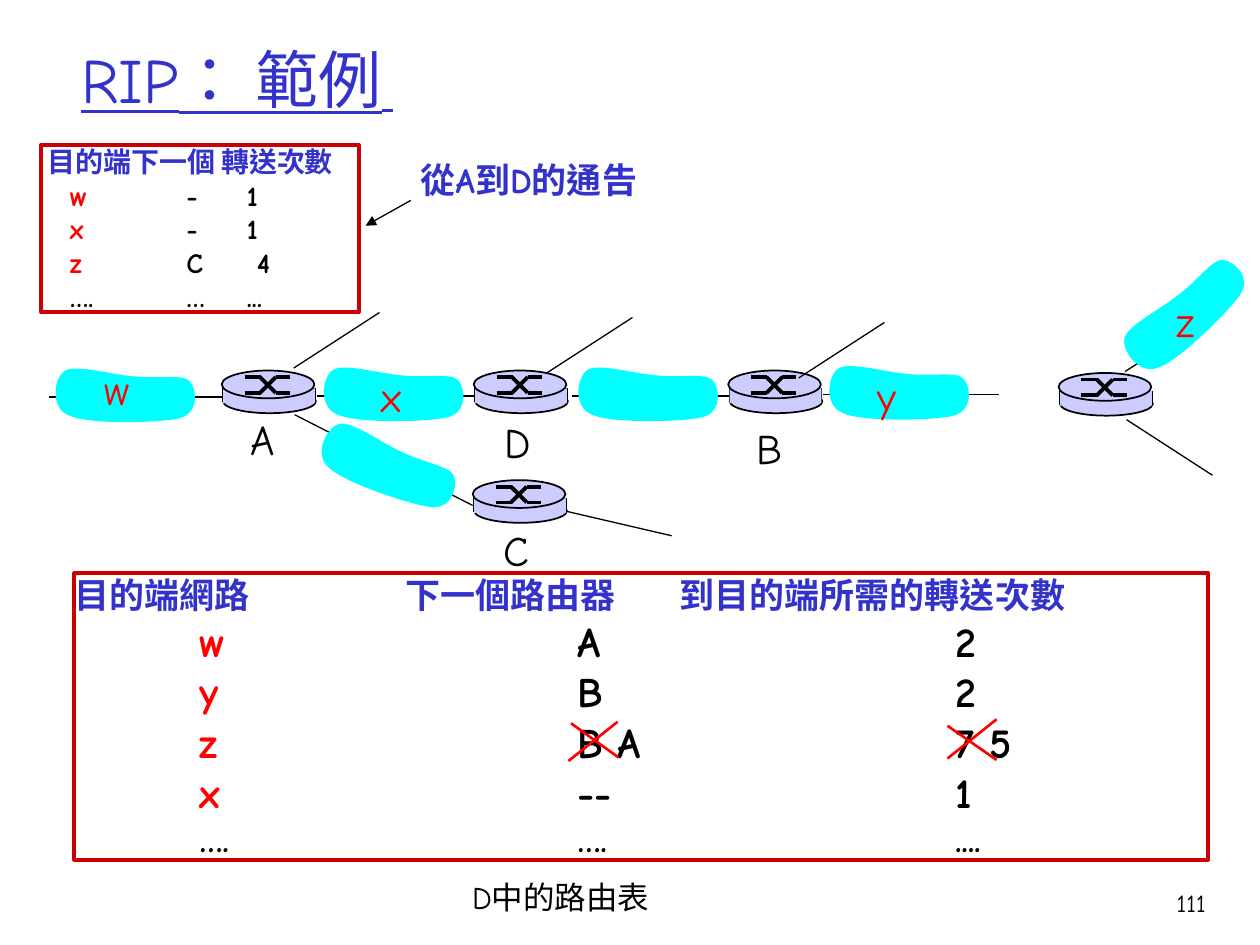
from lxml.etree import SubElement
from pptx import Presentation
from pptx.dml.color import RGBColor
from pptx.enum.shapes import MSO_CONNECTOR, MSO_SHAPE
from pptx.enum.text import MSO_ANCHOR, PP_ALIGN
from pptx.oxml.ns import qn
from pptx.util import Cm, Pt

FONT = "Comic Neue"
COLORS = {"blue": "3333CC", "red": "FF0000", "frame": "CC0000",
          "black": "000000", "router": "CCCCFF", "network": "00FFFF"}

# Network outline: size, start point, then Bezier segments, in cm
CLOUD_WIDTH, CLOUD_HEIGHT = 3.05, 1.22
CLOUD_START = (1.73, 0.25)
CLOUD_CURVES = [
    ((1.32, 0.23), (0.56, 0), (0.33, 0.13)),
    ((0.1, 0.25), (0, 0.89), (0.41, 1.04)),
    ((0.79, 1.22), (2.24, 1.19), (2.64, 1.09)),
    ((3.05, 0.97), (2.97, 0.46), (2.82, 0.33)),
    ((2.67, 0.2), (2.13, 0.3), CLOUD_START),
]
CLOUDS = [(6.4, 7.32, 0), (6.3, 8.79, 19.7), (0.99, 7.34, 0),
          (11.53, 7.32, 0), (16.59, 7.29, 0), (22.35, 5.72, 316.8)]
ROUTERS = [(9.55, 7.47), (4.47, 7.47), (9.53, 9.68), (14.68, 7.47), (21.34, 7.52)]
LINKS = [(6.4, 7.98), (11.53, 7.98), (0.99, 8), (16.59, 7.95)]
SPOKES = [
    (5.92, 7.42, 7.65, 6.3), (11.02, 7.52, 12.75, 6.4), (16.1, 7.62, 17.83, 6.5),
    (22.68, 7.49, 24.41, 6.37), (22.71, 8.46, 24.44, 9.58),
    (5.94, 8.36, 9.53, 10.19), (11.43, 10.31, 13.54, 10.8),
]
LABELS = [
    ("w", 1.85, 7.21, "red"), ("x", 7.44, 7.34, "red"),
    ("y", 17.45, 7.34, "red"), ("z", 23.47, 5.84, "red"),
    ("A", 4.8, 8.22, "black"), ("C", 9.91, 10.44, "black"),
    ("D", 9.93, 8.28, "black"), ("B", 15.01, 8.4, "black"),
]
STRIKES = [(11.51, 14.58, 12.47, 15.27), (11.46, 15.34, 12.45, 14.55),
           (19.1, 14.63, 20.09, 15.32), (19.1, 15.29, 20.09, 14.5)]


def rgb(name):
    return RGBColor.from_string(COLORS[name])


def add_span(para, text, size, color="black", bold=False, underline=None):
    span = para.add_run()
    span.text = text
    span.font.name = FONT
    span.font.size = Pt(size)
    span.font.bold = bold
    span.font.underline = underline
    span.font.color.rgb = rgb(color)
    span._r.get_or_add_rPr().set("lang", "zh-TW")


def set_tabs(para, stops):
    tabs = SubElement(para._p.get_or_add_pPr(), qn("a:tabLst"))
    for stop in stops:
        SubElement(tabs, qn("a:tab"), pos=str(Cm(stop)), algn="l")


def add_label(page, text, left, top, width=1, height=1.27, size=24,
              color="black", bold=False, align=PP_ALIGN.LEFT):
    box = page.shapes.add_textbox(Cm(left), Cm(top), Cm(width), Cm(height))
    box.text_frame.word_wrap = False
    para = box.text_frame.paragraphs[0]
    para.alignment = align
    add_span(para, text, size, color, bold)


def add_line(page, start_x, start_y, end_x, end_y, width, color="black", arrow=False):
    line = page.shapes.add_connector(MSO_CONNECTOR.STRAIGHT, Cm(start_x), Cm(start_y),
                                     Cm(end_x), Cm(end_y))
    line.line.width = Pt(width)
    line.line.color.rgb = rgb(color)
    if arrow:
        SubElement(line.line._get_or_add_ln(), qn("a:tailEnd"), type="triangle")
    SubElement(line._element.spPr, qn("a:effectLst"))


def add_solid(page, kind, left, top, width, height, outlined):
    shape = page.shapes.add_shape(kind, Cm(left), Cm(top), Cm(width), Cm(height))
    shape.shadow.inherit = False
    shape.fill.solid()
    shape.fill.fore_color.rgb = rgb("router")
    if outlined:
        shape.line.color.rgb = rgb("black")
        shape.line.width = Pt(1)
    else:
        shape.line.fill.background()


def add_router(page, x, y):
    # Drum: bottom, sides, body and lid
    add_solid(page, MSO_SHAPE.OVAL, x + 0.03, y + 0.38, 1.87, 0.48, True)
    for side in (0.03, 1.88):
        add_line(page, x + side, y + 0.36, x + side, y + 0.64, 1)
    add_solid(page, MSO_SHAPE.RECTANGLE, x + 0.03, y + 0.36, 1.85, 0.3, False)
    add_solid(page, MSO_SHAPE.OVAL, x, y, 1.87, 0.56, True)
    # Crossing arms on the lid
    for start, end in ((0.13, 0.45), (0.45, 0.13)):
        add_line(page, x + 0.46, y + start, x + 0.79, y + start, 2.25)
        add_line(page, x + 0.77, y + start, x + 1.09, y + end, 2.25)
        add_line(page, x + 1.09, y + end, x + 1.37, y + end, 2.25)


def add_path_step(path, name, points):
    step = SubElement(path, qn(name))
    for x, y in points:
        SubElement(step, qn("a:pt"), x=str(Cm(x)), y=str(Cm(y)))


def add_cloud(page, x, y, rotation):
    right, bottom = x + CLOUD_WIDTH, y + CLOUD_HEIGHT
    builder = page.shapes.build_freeform(Cm(x), Cm(y))
    builder.add_line_segments([(Cm(right), Cm(y)), (Cm(right), Cm(bottom)),
                               (Cm(x), Cm(bottom))])
    cloud = builder.convert_to_shape()
    # Curved outline inside the frame
    outline = next(cloud._element.iter(qn("a:path")))
    for step in list(outline):
        outline.remove(step)
    add_path_step(outline, "a:moveTo", [CLOUD_START])
    for curve in CLOUD_CURVES:
        add_path_step(outline, "a:cubicBezTo", curve)
    SubElement(outline, qn("a:close"))
    cloud.shadow.inherit = False
    cloud.rotation = rotation
    cloud.fill.solid()
    cloud.fill.fore_color.rgb = rgb("network")
    cloud.line.fill.background()


def add_routing_table(page, left, top, width, height, header, header_stops,
                      header_size, rows, stops, size, last_size):
    box = page.shapes.add_shape(MSO_SHAPE.RECTANGLE, Cm(left), Cm(top),
                                Cm(width), Cm(height))
    box.shadow.inherit = False
    box.fill.background()
    box.line.color.rgb = rgb("frame")
    box.line.width = Pt(2.25)
    frame = box.text_frame
    frame.word_wrap = True
    frame.vertical_anchor = MSO_ANCHOR.TOP
    frame.margin_left = frame.margin_right = frame.margin_top = frame.margin_bottom = 0
    para = frame.paragraphs[0]
    para.alignment = PP_ALIGN.LEFT
    set_tabs(para, header_stops)
    add_span(para, header, header_size, "blue", True)
    for target, router, hops in rows:
        para = frame.add_paragraph()
        para.alignment = PP_ALIGN.LEFT
        set_tabs(para, stops)
        is_last = target == "…."
        row_size = last_size if is_last else size
        add_span(para, "\t" + target, row_size, "black" if is_last else "red", True)
        add_span(para, f"\t{router}\t{hops}", row_size, "black", True)


def add_title(page):
    title = page.shapes.title
    title.left, title.top, title.width, title.height = Cm(1.38), Cm(0), Cm(21.59), Cm(3.15)
    title.text_frame.vertical_anchor = MSO_ANCHOR.MIDDLE
    para = title.text_frame.paragraphs[0]
    para.alignment = PP_ALIGN.LEFT
    add_span(para, "RIP： 範例", 36, "blue", underline=True)
    add_span(para, " ", 28, "blue", underline=True)


def add_network(page):
    for x, y in LINKS:
        add_line(page, x, y, x + 3.55, y, 1)
    for x, y in ROUTERS:
        add_router(page, x, y)
    for spoke in SPOKES:
        add_line(page, *spoke, 0.75)
    for cloud in CLOUDS:
        add_cloud(page, *cloud)
    for text, x, y, color in LABELS:
        add_label(page, text, x, y, color=color)


def main():
    deck = Presentation()
    deck.slide_width, deck.slide_height = Cm(25.4), Cm(19.05)
    page = deck.slides.add_slide(deck.slide_layouts[5])
    add_title(page)

    # Routing table in D
    add_routing_table(
        page, 1.5, 11.56, 22.86, 5.77,
        "目的端網路\t下一個路由器\t到目的端所需的轉送次數", (6.68, 12.2), 20,
        [("w", "A", "2"), ("y", "B", "2"), ("z", "B A", "7 5"),
         ("x", "--", "1"), ("….", "….", "....")], (2.52, 10.14, 17.76), 24, 20)
    add_label(page, "D中的路由表", 9.27, 17.58, 4.4, 1.02, 18)

    add_network(page)

    # Advertisement from A to D
    add_routing_table(
        page, 0.83, 2.92, 6.4, 3.38, "\t目的端下一個 轉送次數", (0.13,), 16,
        [("w", "-", "1"), ("x", "-", "1"), ("z", "C", " 4"), ("….", "…", "...")],
        (0.58, 2.93, 4.15), 16, 16)
    add_label(page, "從A到D的通告", 8.23, 3.07, 5.54, 1.12, 20, "blue", True)
    add_line(page, 8.28, 4.04, 7.37, 4.55, 0.75, arrow=True)

    # Crossed-out entries and page number
    for strike in STRIKES:
        add_line(page, *strike, 1.5, "red")
    add_label(page, "111", 22.68, 17.78, 1.88, 1.27, 14, align=PP_ALIGN.RIGHT)
    deck.save("out.pptx")


if __name__ == "__main__":
    main()
